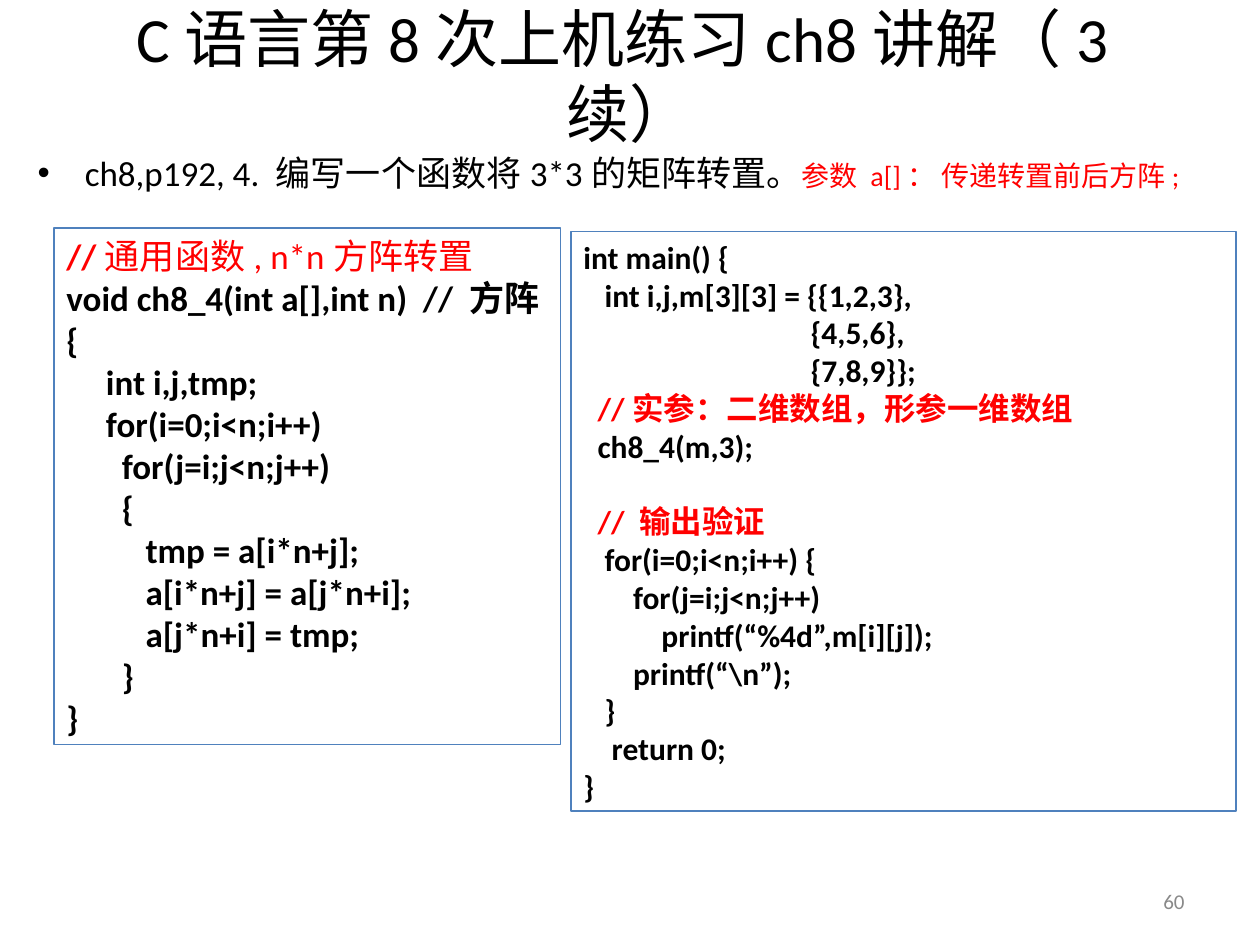
from dataclasses import dataclass

import pptx
import pptx.dml.color
import pptx.enum.shapes
import pptx.enum.text
import pptx.oxml.ns
import pptx.util
from lxml import etree

Cm, Pt = pptx.util.Cm, pptx.util.Pt
RGBColor = pptx.dml.color.RGBColor
Align = pptx.enum.text.PP_ALIGN
Anchor = pptx.enum.text.MSO_ANCHOR

BLACK = RGBColor(0x00, 0x00, 0x00)
RED = RGBColor(0xFF, 0x00, 0x00)
GREY = RGBColor(0x89, 0x89, 0x89)
BORDER_BLUE = RGBColor(0x4F, 0x81, 0xBD)
FONT = "Calibri"


@dataclass(frozen=True)
class Area:
    """Left, top, width and height in centimetres."""
    left: float
    top: float
    width: float
    height: float

    def lengths(self):
        return Cm(self.left), Cm(self.top), Cm(self.width), Cm(self.height)


@dataclass(frozen=True)
class Span:
    text: str
    color: RGBColor = BLACK
    bold: bool = True


@dataclass(frozen=True)
class CodePanel:
    area: Area
    size: int
    lines: list  # each line is a plain string or a list of spans


def add_span(para, text, *, size, color=BLACK, bold=False):
    span = para.add_run()
    span.text = text
    span.font.name = FONT
    span.font.size = Pt(size)
    span.font.bold = bold
    span.font.color.rgb = color
    return span


def add_box(page, area: Area, *, anchor=Anchor.TOP, align=Align.LEFT):
    """Add a wrapping text box and return its first paragraph."""
    box = page.shapes.add_textbox(*area.lengths())
    box.text_frame.word_wrap = True
    box.text_frame.vertical_anchor = anchor
    para = box.text_frame.paragraphs[0]
    para.alignment = align
    return para


def add_bullet(para, indent) -> None:
    properties = para._p.get_or_add_pPr()
    properties.set("marL", str(indent))
    properties.set("indent", str(-indent))
    qn = pptx.oxml.ns.qn
    etree.SubElement(properties, qn("a:buFont")).set("typeface", "Arial")
    etree.SubElement(properties, qn("a:buChar")).set("char", "•")


def add_code_panel(page, panel: CodePanel) -> None:
    box = page.shapes.add_shape(
        pptx.enum.shapes.MSO_SHAPE.RECTANGLE, *panel.area.lengths())
    box.shadow.inherit = False
    box.fill.background()
    box.line.color.rgb = BORDER_BLUE
    box.line.width = Pt(0.75)
    frame = box.text_frame
    frame.word_wrap = True
    frame.auto_size = pptx.enum.text.MSO_AUTO_SIZE.SHAPE_TO_FIT_TEXT
    frame.vertical_anchor = Anchor.TOP
    for index, line in enumerate(panel.lines):
        para = frame.add_paragraph() if index else frame.paragraphs[0]
        para.alignment = Align.LEFT
        if not line:  # an empty line of code keeps the height of the others
            end = etree.SubElement(para._p, pptx.oxml.ns.qn("a:endParaRPr"))
            end.set("sz", str(panel.size * 100))
            continue
        for span in [Span(line)] if isinstance(line, str) else line:
            add_span(para, span.text, size=panel.size,
                     color=span.color, bold=span.bold)


TRANSPOSE = CodePanel(Area(1.09, 4.6, 10.21, 10.41), 20, [
    [Span("//", RED), Span("通用函数, n*n方阵转置", RED, bold=False)],
    "void ch8_4(int a[],int n)  // 方阵",
    "{",
    "     int i,j,tmp;",
    "     for(i=0;i<n;i++)",
    "       for(j=i;j<n;j++)",
    "       {",
    "          tmp = a[i*n+j];",
    "          a[i*n+j] = a[j*n+i];",
    "          a[j*n+i] = tmp;",
    "       }",
    "}",
])

MAIN = CodePanel(Area(11.51, 4.67, 13.41, 11.68), 18, [
    "int main() {",
    "   int i,j,m[3][3] = {{1,2,3},",
    "                                {4,5,6},",
    "                                {7,8,9}};",
    [Span("  "), Span("//实参：二维数组，形参一维数组", RED)],
    "  ch8_4(m,3);",
    "",
    [Span("  // 输出验证", RED)],
    "   for(i=0;i<n;i++) {",
    "       for(j=i;j<n;j++)",
    "           printf(“%4d”,m[i][j]);",
    r"       printf(“\n”);",
    "   }",
    "    return 0;",
    "}",
])


def main() -> None:
    deck = pptx.Presentation()
    deck.slide_width, deck.slide_height = Cm(25.4), Cm(19.05)
    page = deck.slides.add_slide(deck.slide_layouts[6])

    # Title
    title = add_box(page, Area(1.27, -0.08, 22.86, 3.18),
                    anchor=Anchor.MIDDLE, align=Align.CENTER)
    add_span(title, "C语言第8次上机练习ch8讲解（3续）", size=36)

    # Exercise statement
    task = add_box(page, Area(0.51, 2.51, 24, 15.6))
    task.line_spacing = 1.5
    add_bullet(task, Cm(0.95))
    add_span(task, "ch8,p192, 4. 编写一个函数将3*3的矩阵转置。", size=20)
    add_span(task, "参数 a[]： 传递转置前后方阵;", size=16, color=RED)

    # Page number
    number = add_box(page, Area(18.21, 17.65, 5.92, 1.02),
                     anchor=Anchor.MIDDLE, align=Align.RIGHT)
    add_span(number, "60", size=12, color=GREY)

    # Code panels
    for panel in (TRANSPOSE, MAIN):
        add_code_panel(page, panel)

    deck.save("out.pptx")


if __name__ == "__main__":
    main()
